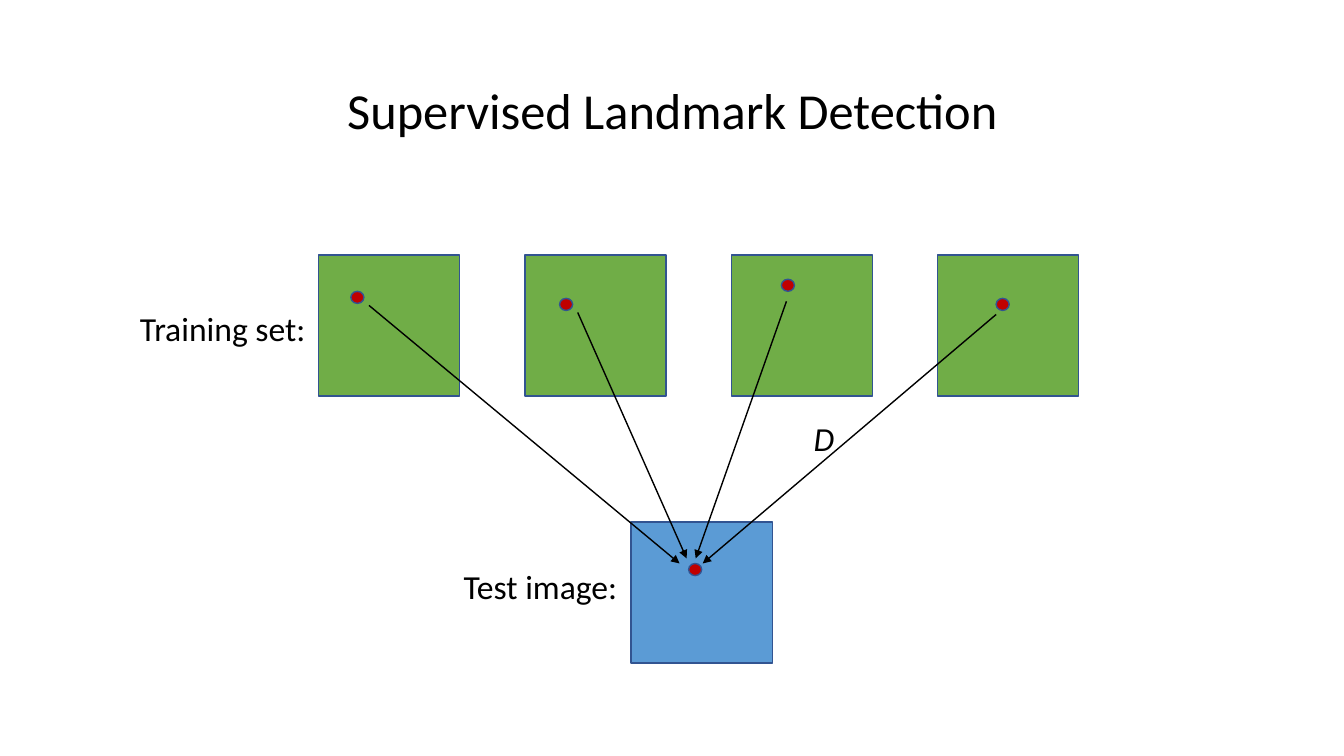
from lxml.etree import SubElement
from pptx import Presentation
from pptx.dml.color import RGBColor
from pptx.enum.shapes import MSO_CONNECTOR, MSO_SHAPE
from pptx.enum.text import MSO_ANCHOR, MSO_AUTO_SIZE, PP_ALIGN
from pptx.oxml.ns import qn
from pptx.util import Inches, Pt

BLACK = RGBColor(0x00, 0x00, 0x00)
GREEN = RGBColor(0x70, 0xAD, 0x47)
BLUE = RGBColor(0x5B, 0x9B, 0xD5)
RED = RGBColor(0xC0, 0x00, 0x00)
OUTLINE = RGBColor(0x32, 0x54, 0x91)
FONT = "Calibri"

# Content: lengths in inches
TITLE = "Supervised Landmark Detection"
LABELS = [  # text, box, italic
    ("Training set:", (1.29, 3.01, 1.86, 0.5), False),
    ("Test image:", (4.5, 5.57, 1.74, 0.5), False),
    ("D", (7.97, 4.1, 0.41, 0.5), True),
]
TRAINING = [  # landmark corner, arrow start, arrow end
    ((3.48, 2.89), (3.66, 3.03), (6.74, 5.59)),
    ((5.55, 2.96), (5.73, 3.1), (6.81, 5.54)),
    ((7.75, 2.77), (7.8, 2.99), (6.9, 5.54)),
    ((9.88, 2.96), (9.88, 3.12), (6.97, 5.59)),
]
TEST_CORNER = (6.26, 5.18)
TEST_LANDMARK = (6.83, 5.59)

# Layout
IMAGE_SIZE = (1.4, 1.4)
LANDMARK_SIZE = (0.13, 0.12)
ROW_LEFT, ROW_RIGHT, ROW_TOP = 3.16, 9.3, 2.53
ROW_STEP = (ROW_RIGHT - ROW_LEFT) / (len(TRAINING) - 1)

deck = Presentation()
deck.slide_width, deck.slide_height = Inches(13.33), Inches(7.5)
slide = deck.slides.add_slide(deck.slide_layouts[6])


def add_text(text, box, size, italic=False):
    label = slide.shapes.add_textbox(*map(Inches, box))
    paragraph = label.text_frame.paragraphs[0]
    run = paragraph.add_run()
    run.text = text
    run.font.name, run.font.size = FONT, Pt(size)
    run.font.italic = italic
    run.font.color.rgb = BLACK
    return label.text_frame, paragraph


def add_figure(kind, corner, size, color):
    figure = slide.shapes.add_shape(kind, *map(Inches, corner + size))
    figure.shadow.inherit = False
    figure.fill.solid()
    figure.fill.fore_color.rgb = color
    figure.line.color.rgb = OUTLINE
    figure.line.width = Pt(1)


def add_arrow(start, end):
    arrow = slide.shapes.add_connector(
        MSO_CONNECTOR.STRAIGHT, *map(Inches, start + end))
    arrow.line.color.rgb = BLACK
    arrow.line.width = Pt(1)
    SubElement(arrow.line._get_or_add_ln(), qn("a:tailEnd"), type="triangle")
    SubElement(arrow._element.spPr, qn("a:effectLst"))


# Title
frame, heading = add_text(TITLE, (0.92, 0.4, 11.5, 1.45), 36)
frame.word_wrap = True
frame.vertical_anchor = MSO_ANCHOR.MIDDLE
heading.alignment = PP_ALIGN.CENTER
heading.line_spacing = 0.9

# Training and test images
for column in range(len(TRAINING)):
    add_figure(MSO_SHAPE.RECTANGLE, (ROW_LEFT + column * ROW_STEP, ROW_TOP),
               IMAGE_SIZE, GREEN)
add_figure(MSO_SHAPE.RECTANGLE, TEST_CORNER, IMAGE_SIZE, BLUE)

# Landmarks and the arrows that join them
add_figure(MSO_SHAPE.OVAL, TEST_LANDMARK, LANDMARK_SIZE, RED)
for landmark, start, end in TRAINING:
    add_figure(MSO_SHAPE.OVAL, landmark, LANDMARK_SIZE, RED)
    add_arrow(start, end)

# Labels
for text, box, italic in LABELS:
    frame, _ = add_text(text, box, 24, italic)
    frame.word_wrap = False
    frame.auto_size = MSO_AUTO_SIZE.SHAPE_TO_FIT_TEXT

deck.save("out.pptx")
